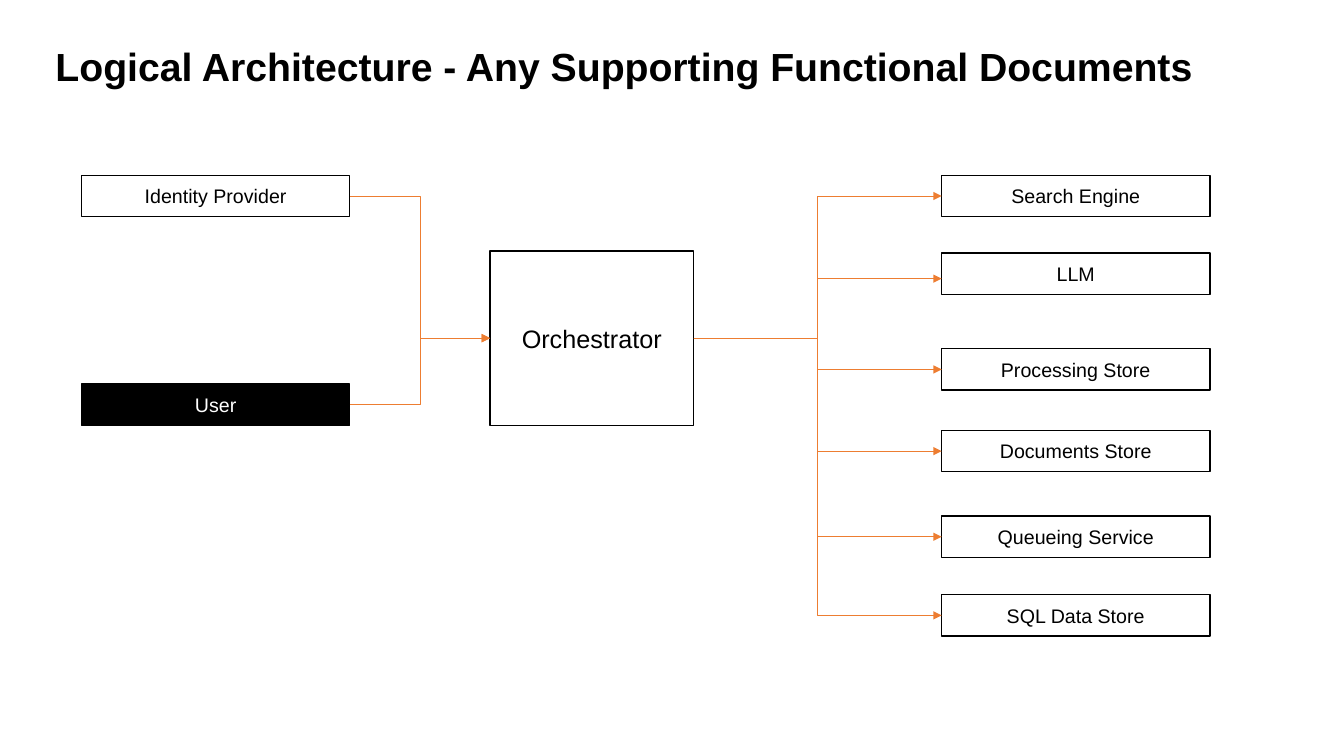
from lxml import etree
from pptx import Presentation
from pptx.dml.color import RGBColor
from pptx.enum.shapes import MSO_CONNECTOR as CONN, MSO_SHAPE as SHAPE
from pptx.enum.text import MSO_ANCHOR as ANCHOR, PP_ALIGN as ALIGN
from pptx.oxml.ns import qn
from pptx.util import Inches, Pt

BLACK, WHITE, ORANGE = "000000", "FFFFFF", "ED7D31"
BOX_W, BOX_H = 2.66, 0.41
SOURCES = [("Identity Provider", 0, WHITE, BLACK), ("User", 2.07, BLACK, WHITE)]
SERVICES = [
    ("Search Engine", 0, 0.25, 0),
    ("LLM", 0.77, 0.25, 0.05),
    ("Processing Store", 1.72, 0.25, 0),
    ("Documents Store", 2.53, 0.25, 0),
    ("Queueing Service", 3.38, 0.5, 0),
    ("SQL Data Store", 4.16, 0.25, 0),
]


def rgb(value):
    return RGBColor.from_string(value)


def style_text(tf, size, color, align, bold=False):
    p = tf.paragraphs[0]
    p.alignment = align
    font = p.runs[0].font
    font.name = "Arial"
    font.size = Pt(size)
    font.bold = bold
    font.color.rgb = rgb(color)


def add_title(s, text, x, y, w, h):
    sp = s.shapes.title
    sp.left, sp.top, sp.width, sp.height = map(Inches, (x, y, w, h))
    tf = sp.text_frame
    tf.text = text
    tf.word_wrap = True
    tf.vertical_anchor = ANCHOR.TOP
    tf.margin_left = tf.margin_right = Inches(0.1)
    tf.margin_top = tf.margin_bottom = Inches(0.1)
    style_text(tf, 28, BLACK, ALIGN.LEFT, bold=True)


def add_box(s, text, x, y, w=BOX_W, h=BOX_H, size=14, fill=WHITE, color=BLACK):
    sp = s.shapes.add_shape(SHAPE.RECTANGLE, *map(Inches, (x, y, w, h)))
    sp.shadow.inherit = False
    sp.fill.solid()
    sp.fill.fore_color.rgb = rgb(fill)
    sp.line.color.rgb = rgb(BLACK)
    sp.line.width = Pt(1)
    tf = sp.text_frame
    tf.text = text
    tf.word_wrap = True
    tf.vertical_anchor = ANCHOR.MIDDLE
    style_text(tf, size, color, ALIGN.CENTER)
    return sp


def add_arrow(s, start, end, width=0.25, drop=0):
    cx = s.shapes.add_connector(
        CONN.ELBOW,
        start.left + start.width, start.top + start.height // 2,
        end.left, end.top + end.height // 2 + Inches(drop),
    )
    cx.begin_connect(start, 3)
    if not drop:
        cx.end_connect(end, 1)
    cx.line.color.rgb = rgb(ORANGE)
    cx.line.width = Pt(width)
    etree.SubElement(cx.line._get_or_add_ln(), qn("a:tailEnd"), type="triangle")
    etree.SubElement(cx._element.spPr, qn("a:effectLst"))


def add_sources(s, x, y, target):
    for text, dy, fill, color in SOURCES:
        add_arrow(s, add_box(s, text, x, y + dy, fill=fill, color=color), target)


def add_services(s, x, y, origin):
    for text, dy, width, drop in SERVICES:
        add_arrow(s, origin, add_box(s, text, x, y + dy), width, drop)


def main():
    prs = Presentation()
    prs.slide_width, prs.slide_height = Inches(13.33), Inches(7.5)
    s = prs.slides.add_slide(prs.slide_layouts[5])
    add_title(s, "Logical Architecture - Any Supporting Functional Documents",
              0.45, 0.32, 12.6, 0.63)
    orchestrator = add_box(s, "Orchestrator", 4.86, 2.49, 2.02, 1.73, size=18)
    add_sources(s, 0.81, 1.74, orchestrator)
    add_services(s, 9.34, 1.74, orchestrator)
    prs.save("out.pptx")


if __name__ == "__main__":
    main()
